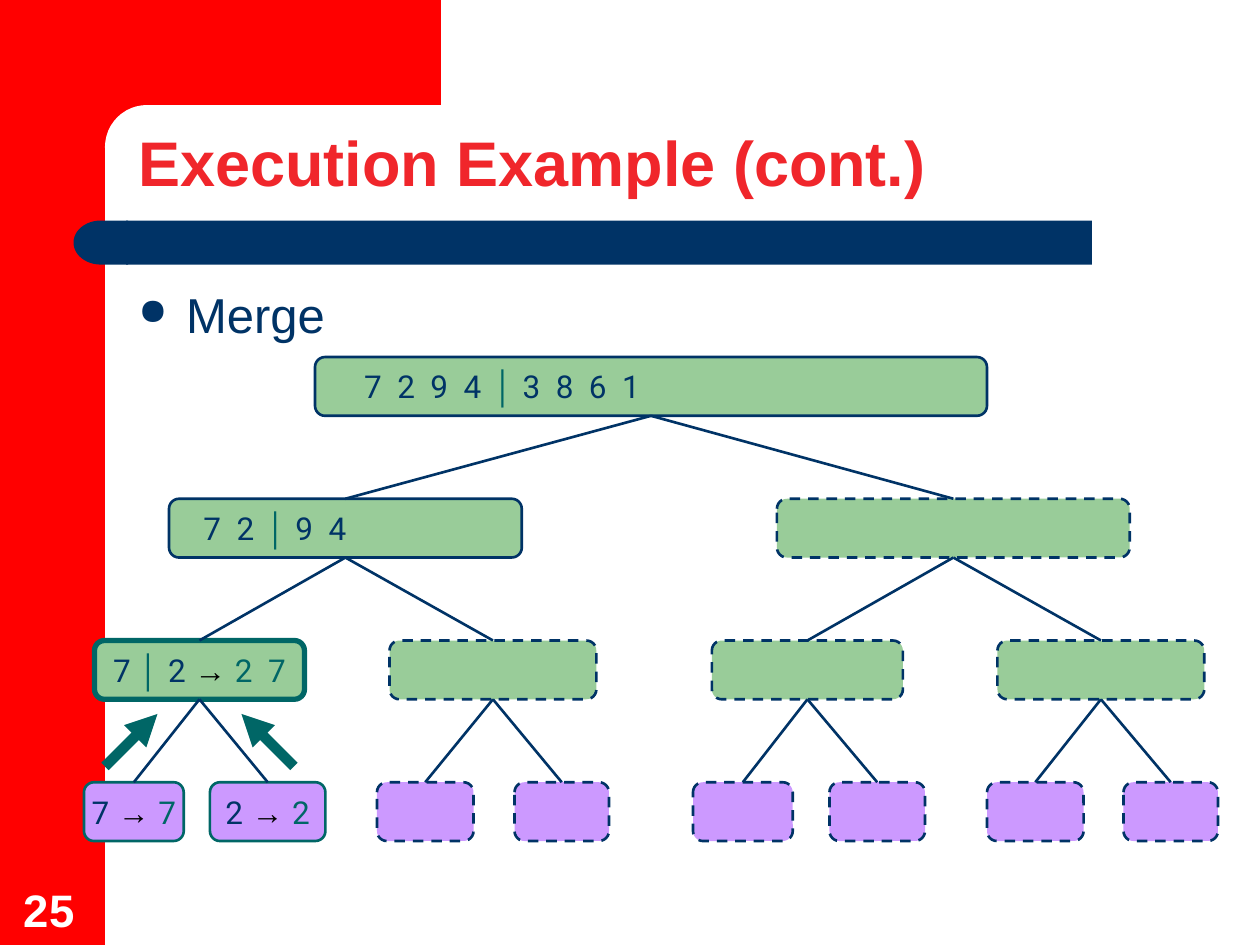
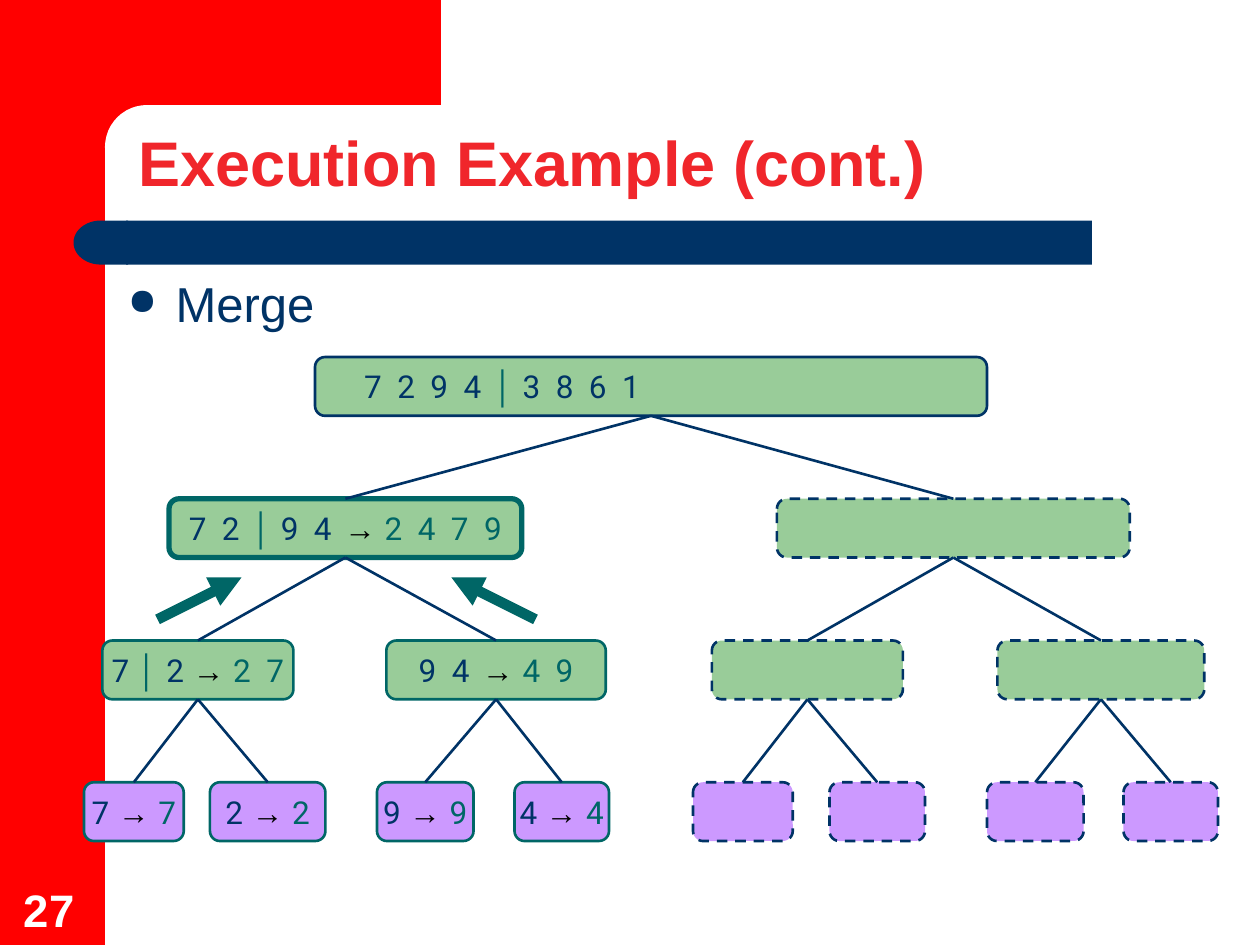
"""Build two merge sort tree slides."""
from pptx import Presentation
from pptx.dml.color import RGBColor
from pptx.enum.dml import MSO_LINE
from pptx.enum.shapes import MSO_CONNECTOR, MSO_SHAPE
from pptx.enum.text import MSO_ANCHOR, PP_ALIGN
from pptx.oxml.ns import qn
from pptx.util import Inches, Pt
from lxml import etree

RED = RGBColor(0xFF, 0x00, 0x00)
CORAL = RGBColor(0xF0, 0x26, 0x2B)
NAVY = RGBColor(0x00, 0x33, 0x66)
TEAL = RGBColor(0x00, 0x66, 0x66)
GREEN = RGBColor(0x99, 0xCC, 0x99)
LILAC = RGBColor(0xCC, 0x99, 0xFF)
WHITE = RGBColor(0xFF, 0xFF, 0xFF)
BLACK = RGBColor(0x00, 0x00, 0x00)
RECT = MSO_SHAPE.RECTANGLE
ROUND = MSO_SHAPE.ROUNDED_RECTANGLE
DELAY = MSO_SHAPE.FLOWCHART_DELAY
LINE = MSO_CONNECTOR.STRAIGHT
DASH = MSO_LINE.DASH
MIDDLE = MSO_ANCHOR.MIDDLE
BOTTOM = MSO_ANCHOR.BOTTOM
CENTER = PP_ALIGN.CENTER
LEFT = PP_ALIGN.LEFT

deck = Presentation()
deck.slide_width, deck.slide_height = Inches(10), Inches(7.5)
UNIT = deck.slide_width / 120
BANDS = [
    (RECT, 0, 0, 10, 90, RED), (RECT, 9, 0, 33, 14, RED),
    (ROUND, 10, 10, 67, 8, WHITE),
    (RECT, 12, 21, 92, 4.2, NAVY), (DELAY, 7, 21, 5.2, 4.2, NAVY),
]
TOP, STEP, HIGH = 34, 13.5, 5.6
ROOT = [(30, 64)]
HALVES = [(16.1, 33.6), (74, 33.6)]
PAIRS = [(67.8, 18.2), (95, 19.7)]
LEAVES = [(8, 9.5), (20, 11), (35.9, 9.2), (49, 9),
          (66, 9.5), (79, 9.1), (94, 9.2), (107, 9)]
BAR, ARROW = " │ ", " → "
SHARED = {
    (0, 0): ("7 2 9 4", BAR, "3 8 6 1"),
    (2, 0): ("7", BAR, "2", ARROW, "2 7"),
    (3, 0): ("7", ARROW, "7"),
    (3, 1): ("2", ARROW, "2"),
}
PADS = {(0, 0): 4.4, (1, 0): 3}
PAGES = [
    {"num": "25", "body": (12, 26.5), "pairs": [(9, 20), (37.1, 19.7)],
     "focus": (2, 0), "axis": 19, "tail": (10, 73), "tip": (15, 68),
     "labels": {(1, 0): ("7 2", BAR, "9 4")}},
    {"num": "27", "body": (11, 25.5), "pairs": [(9.75, 18.2), (36.8, 20.9)],
     "focus": (1, 0), "axis": 33, "tail": (15, 59), "tip": (23, 55),
     "labels": {(1, 0): ("7 2", BAR, "9 4", ARROW, "2 4 7 9"),
                (2, 1): ("9 4", ARROW, "4 9"),
                (3, 2): ("9", ARROW, "9"), (3, 3): ("4", ARROW, "4")}},
]


def grid(*cells):
    """Turn grid cells into lengths."""
    return [round(cell * UNIT) for cell in cells]


def link(slide, ends, ink, width):
    """Draw a straight line without a shadow."""
    line = slide.shapes.add_connector(LINE, *grid(*ends))
    line.line.color.rgb, line.line.width = ink, Pt(width)
    etree.SubElement(line._element.spPr, qn("a:effectLst"))
    return line


for page in PAGES:
    slide = deck.slides.add_slide(deck.slide_layouts[6])
    for kind, x, y, wide, high, ink in BANDS:
        band = slide.shapes.add_shape(kind, *grid(x, y, wide, high))
        band.shadow.inherit = False
        band.fill.solid()
        band.fill.fore_color.rgb = ink
        band.line.fill.background()
        if kind == ROUND:
            band.adjustments[0] = 0.5
        if kind == DELAY:
            band.rotation = 180

    texts = [
        (page["num"], (1.1, 83.3, 7.7, 6.5), 26, WHITE, True),
        ("Execution Example (cont.)", (12, 12, 105, 7.7), 36, CORAL, True),
        ("Merge", (*page["body"], 102, 6.8), 28, NAVY, False),
    ]
    for text, area, size, ink, bold in texts:
        box = slide.shapes.add_textbox(*grid(*area))
        frame = box.text_frame
        frame.word_wrap = True
        para = frame.paragraphs[0]
        para.text = text
        if bold:
            frame.vertical_anchor = BOTTOM
        else:
            props = para._p.get_or_add_pPr()
            props.set("marL", str(Inches(0.38)))
            props.set("indent", str(-Inches(0.38)))
            etree.SubElement(props, qn("a:buSzPct"), val="75000")
            etree.SubElement(props, qn("a:buChar"), char="●")
        if size == 36:
            para.line_spacing = 0.9
        para.font.name, para.font.size = "Arial", Pt(size)
        para.font.bold, para.font.color.rgb = bold, ink

    labels = SHARED | page["labels"]
    rows = [ROOT, HALVES, page["pairs"] + PAIRS, LEAVES]
    above = []
    for row, spans in enumerate(rows):
        nodes = []
        for col, (x, wide) in enumerate(spans):
            key = (row, col)
            parts = labels.get(key, ())
            node = slide.shapes.add_shape(
                ROUND, *grid(x, TOP + STEP * row, wide, HIGH))
            nodes.append(node)
            node.shadow.inherit = False
            node.adjustments[0] = 0.17
            node.fill.solid()
            node.fill.fore_color.rgb = LILAC if row == 3 else GREEN
            node.line.color.rgb = TEAL if ARROW in parts else NAVY
            node.line.width = Pt(3 if key == page["focus"] else 1.5)
            if above:
                edge = link(slide, (0, 0, 1, 1), NAVY, 1.5)
                edge.begin_connect(node, 0)
                edge.end_connect(above[col // 2], 2)
            if not parts:
                node.line.dash_style = DASH
                continue
            frame = node.text_frame
            frame.word_wrap = False
            frame.vertical_anchor = MIDDLE
            para = frame.paragraphs[0]
            para.alignment = CENTER
            if key in PADS and (row == 0 or ARROW not in parts):
                para.alignment = LEFT
                frame.word_wrap = True
                frame.margin_left = grid(PADS[key])[0]
            para.font.size = Pt(18)
            ink = NAVY
            for part in parts:
                run = para.add_run()
                run.text = part
                mark = part in (BAR, ARROW)
                run.font.name = "Arial" if mark else "Roboto"
                run.font.bold = mark
                run.font.color.rgb = {BAR: TEAL, ARROW: BLACK}.get(part, ink)
                if part == ARROW:
                    ink = TEAL
                if len(part) > 1 and not mark:
                    run._r.get_or_add_rPr().set("spc", "220")
        above = nodes

    (x1, y1), (x2, y2) = page["tail"], page["tip"]
    fold = 2 * page["axis"]
    for ends in ((x1, y1, x2, y2), (fold - x1, y1, fold - x2, y2)):
        arrow = link(slide, ends, TEAL, 6)
        etree.SubElement(arrow.line._get_or_add_ln(), qn("a:tailEnd"),
                         type="triangle")

deck.save("out.pptx")
